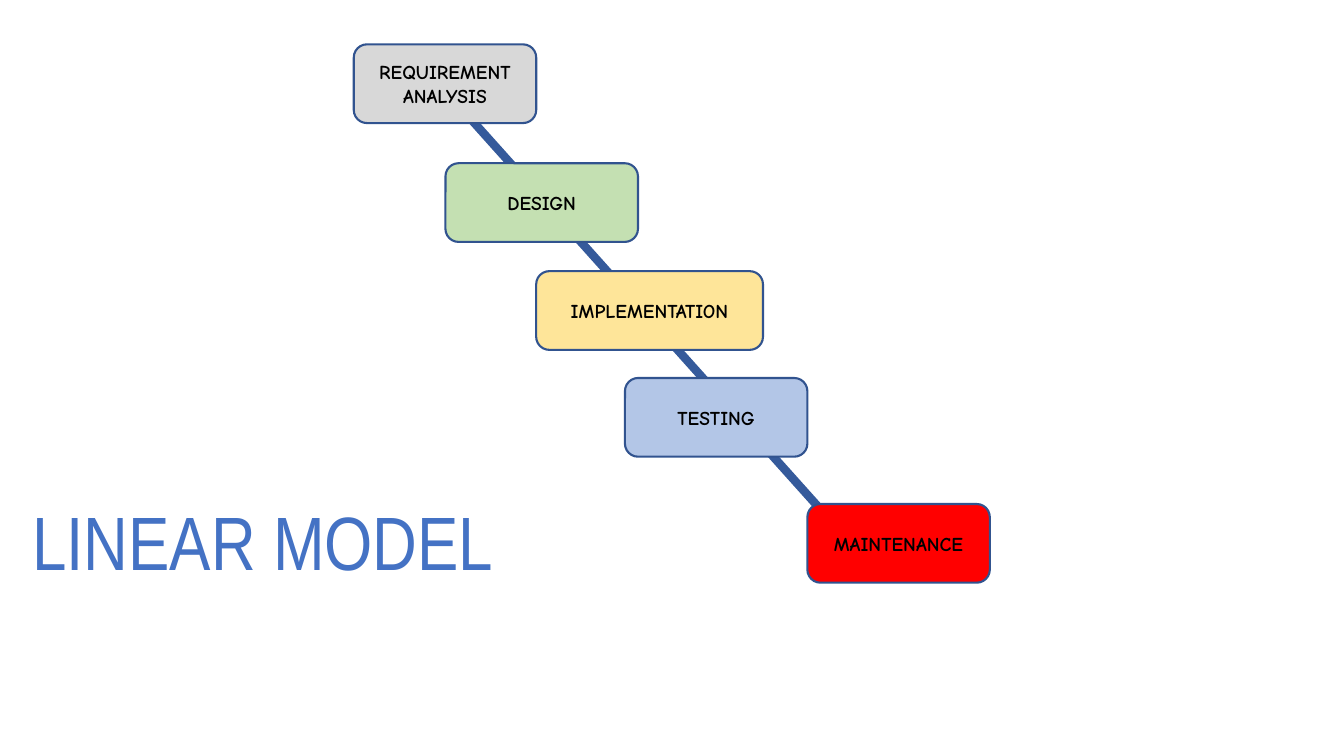
from dataclasses import dataclass

from lxml.etree import SubElement
from pptx import Presentation
from pptx.dml.color import RGBColor
from pptx.enum.shapes import MSO_CONNECTOR as Connector, MSO_SHAPE as Shape
from pptx.enum.text import MSO_ANCHOR as Anchor, MSO_AUTO_SIZE as AutoSize, PP_ALIGN as Align
from pptx.oxml.ns import qn
from pptx.shapes.group import GroupShape
from pptx.slide import Slide
from pptx.util import Pt

STAGE_HEIGHT = 56.2


@dataclass(frozen=True)
class Stage:
    label: str
    left: float
    top: float
    fill: str
    width: float = 130.3


STAGES = [
    Stage("DESIGN", 318.2, 116.6, "C4E0B2", 137.5),
    Stage("IMPLEMENTATION", 383, 193.7, "FEE599", 162),
    Stage("TESTING", 446.4, 270, "B3C6E7"),
    Stage("MAINTENANCE", 576.7, 360, "FF0000"),
    Stage("REQUIREMENT ANALYSIS", 252.7, 31.7, "D8D8D8"),
]


def color(value: str) -> RGBColor:
    return RGBColor.from_string(value)


def draw_flow(diagram: GroupShape) -> None:
    flow = diagram.shapes.add_connector(
        Connector.STRAIGHT, Pt(305.3), Pt(50.4), Pt(627.8), Pt(410.4))
    flow.line.color.rgb = color("355A9B")
    flow.line.width = Pt(6)
    SubElement(flow.line._get_or_add_ln().getparent(), qn("a:effectLst"))


def draw_stage(diagram: GroupShape, stage: Stage) -> None:
    box = diagram.shapes.add_shape(
        Shape.ROUNDED_RECTANGLE, Pt(stage.left), Pt(stage.top),
        Pt(stage.width), Pt(STAGE_HEIGHT))
    box.shadow.inherit = False
    box.fill.solid()
    box.fill.fore_color.rgb = color(stage.fill)
    box.line.color.rgb = color("31538F")
    box.line.width = Pt(1.5)
    frame = box.text_frame
    frame.word_wrap = True
    frame.vertical_anchor = Anchor.MIDDLE
    label = frame.paragraphs[0]
    label.text = stage.label
    label.alignment = Align.CENTER
    label.font.name = "Comic Neue"
    label.font.size = Pt(14)
    label.font.bold = True
    label.font.color.rgb = color("000000")


def write_title(slide: Slide, text: str) -> None:
    title = slide.shapes.title
    title.left, title.top, title.width, title.height = Pt(15.8), Pt(344.9), Pt(481), Pt(90.7)
    frame = title.text_frame
    frame.auto_size = AutoSize.NONE
    frame.word_wrap = True
    frame.vertical_anchor = Anchor.MIDDLE
    heading = frame.paragraphs[0]
    heading.text = text
    heading.alignment = Align.LEFT
    heading.line_spacing = 0.9
    heading.font.name = "Arial Narrow"
    heading.font.size = Pt(54)
    heading.font.color.rgb = color("4472C4")


def main() -> None:
    deck = Presentation()
    deck.slide_width, deck.slide_height = Pt(960), Pt(540)
    slide = deck.slides.add_slide(deck.slide_layouts.get_by_name("Title Only"))
    diagram = slide.shapes.add_group_shape()
    draw_flow(diagram)
    for stage in STAGES:
        draw_stage(diagram, stage)
    write_title(slide, "LINEAR MODEL")
    deck.save("out.pptx")


if __name__ == "__main__":
    main()
